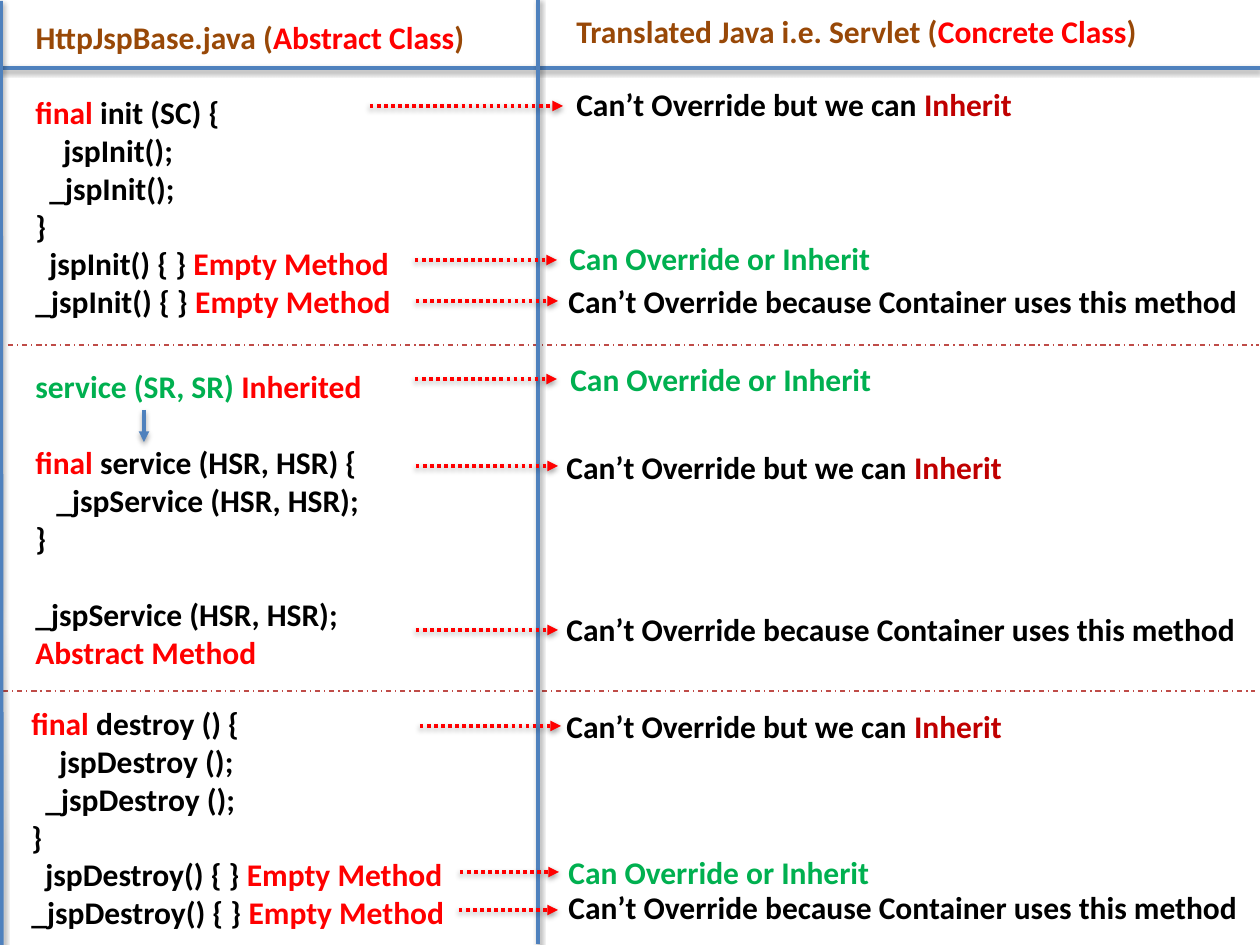
"""Builds a slide comparing an abstract JSP base class with its translated servlet."""
from lxml import etree
from pptx import Presentation
from pptx import util as u
from pptx.dml.color import RGBColor
from pptx.enum import dml, shapes, text
from pptx.oxml import ns

COLORS = {"brown": "984807", "red": "FF0000", "black": "000000", "green": "00B050",
          "crimson": "C00000", "blue": "4F81BD", "brick": "BF4C48"}
PX = 914400 // 126
SPACE = 7
LINE = u.Pt(22)


def lifecycle(name, call):
    """Lists the lines of a final method and its two empty hooks."""
    return [
        (0, 0, [("final", "red"), (f" {name} {{", "black")]),
        (4, 0, [(f"{call};", "black")]),
        (2, 0, [(f"_{call};", "black")]),
        (0, 0, [("}", "black")]),
        *[(indent, 0, [(f"{prefix}{call.replace(' ', '')} {{ }} ", "black"),
                       ("Empty Method", "red")])
          for indent, prefix in ((2, ""), (0, "_"))],
    ]


BASE_HEADER = [(0, 0, [("HttpJspBase.java (", "brown"), ("Abstract Class", "red"), (")", "brown")])]
SERVLET_HEADER = [(0, 0, [("Translated Java i.e. Servlet (", "brown"),
                          ("Concrete Class", "red"), (")", "brown")])]
SERVICE = [
    (0, 0, [("service (SR, SR) ", "green"), ("Inherited", "red")]),
    (0, 1, [("final", "red"), (" service (HSR, HSR) {", "black")]),
    (3, 0, [("_jspService (HSR, HSR);", "black")]),
    (0, 0, [("}", "black")]),
    (0, 1, [("_jspService (HSR, HSR);", "black")]),
    (0, 0, [("Abstract Method", "red")]),
]
METHODS = [
    ((23, 87, 404, 242), lifecycle("init (SC)", "jspInit()")),
    ((23, 361, 393, 319), SERVICE),
    ((19, 698, 460, 242), lifecycle("destroy ()", "jspDestroy ()")),
]
RULES = {
    "inherit": (465, [("Can’t Override but we can ", "black"), ("Inherit", "crimson")]),
    "either": (329, [("Can Override or Inherit", "green")]),
    "container": (701, [("Can’t Override because Container uses this method", "black")]),
}
ANSWERS = [
    ("inherit", 564, 79, (370, 563, 106)),
    ("either", 557, 233, (415, 557, 260)),
    ("container", 556, 276, (416, 558, 301)),
    ("either", 558, 354, (415, 557, 379)),
    ("inherit", 554, 442, (416, 558, 466)),
    ("container", 554, 604, (416, 558, 630)),
    ("inherit", 554, 701, (420, 561, 726)),
    ("either", 556, 847, (460, 559, 872)),
    ("container", 556, 882, (459, 558, 910)),
]
DIVIDERS = [(8, 345, 1259, 345), (3, 691, 1255, 691)]
FRAME = [(-1, 68, 1260, 68), (1, 1, 2, 946), (538, -1, 538, 944)]
SERVICE_ARROW = (144, 410, 144, 442)


def write(box, lines, wrap=True):
    frame = box.text_frame
    frame.word_wrap = wrap
    frame.auto_size = text.MSO_AUTO_SIZE.NONE
    frame.vertical_anchor = text.MSO_ANCHOR.TOP
    for number, (indent, gap, runs) in enumerate(lines):
        line = frame.add_paragraph() if number else frame.paragraphs[0]
        line.alignment = text.PP_ALIGN.LEFT
        line.space_before = LINE * gap
        line.font.name, line.font.size, line.font.bold = "Calibri", u.Pt(18), True
        if indent:
            line._p.get_or_add_pPr().set("marL", str(indent * SPACE * PX))
        for wording, color in runs:
            run = line.add_run()
            run.text = wording
            run.font.color.rgb = RGBColor.from_string(COLORS[color])


def add_text(area, lines, wrap=True):
    write(slide.shapes.add_textbox(*[n * PX for n in area]), lines, wrap)


def add_line(ends, color, width=2, dash=None, arrow=False, shadow=True):
    line = slide.shapes.add_connector(shapes.MSO_CONNECTOR.STRAIGHT, *[n * PX for n in ends])
    line.line.color.rgb = RGBColor.from_string(COLORS[color])
    line.line.width = u.Pt(width)
    if dash:
        line.line.dash_style = dash
    if arrow:
        etree.SubElement(line.line._get_or_add_ln(), ns.qn("a:tailEnd"), type="triangle")
    effects = etree.SubElement(line._element.spPr, ns.qn("a:effectLst"))
    if shadow:
        cast = etree.SubElement(effects, ns.qn("a:outerShdw"), blurRad="40000", dist="20000",
                                dir="5400000", rotWithShape="0")
        shade = etree.SubElement(cast, ns.qn("a:srgbClr"), val=COLORS["black"])
        etree.SubElement(shade, ns.qn("a:alpha"), val="38000")


deck = Presentation()
deck.slide_width, deck.slide_height = u.Inches(10), u.Inches(7.5)
slide = deck.slides.add_slide(deck.slide_layouts[5])

for divider in DIVIDERS:
    add_line(divider, "brick", 0.75, dml.MSO_LINE.DASH_DOT, shadow=False)
for edge in FRAME:
    add_line(edge, "blue")

base_header = slide.shapes.title
base_header.left, base_header.top, base_header.width, base_header.height = [
    n * PX for n in (23, 12, 489, 50)]
write(base_header, BASE_HEADER)
add_text((564, 6, 689, 50), SERVLET_HEADER)
for area, lines in METHODS:
    add_text(area, lines)
for rule, left, top, (start, end, level) in ANSWERS:
    width, runs = RULES[rule]
    add_text((left, top, width, 50), [(0, 0, runs)], wrap=False)
    add_line((start, level, end, level), "red", dash=dml.MSO_LINE.ROUND_DOT, arrow=True)
add_line(SERVICE_ARROW, "blue", arrow=True)

deck.save("out.pptx")
